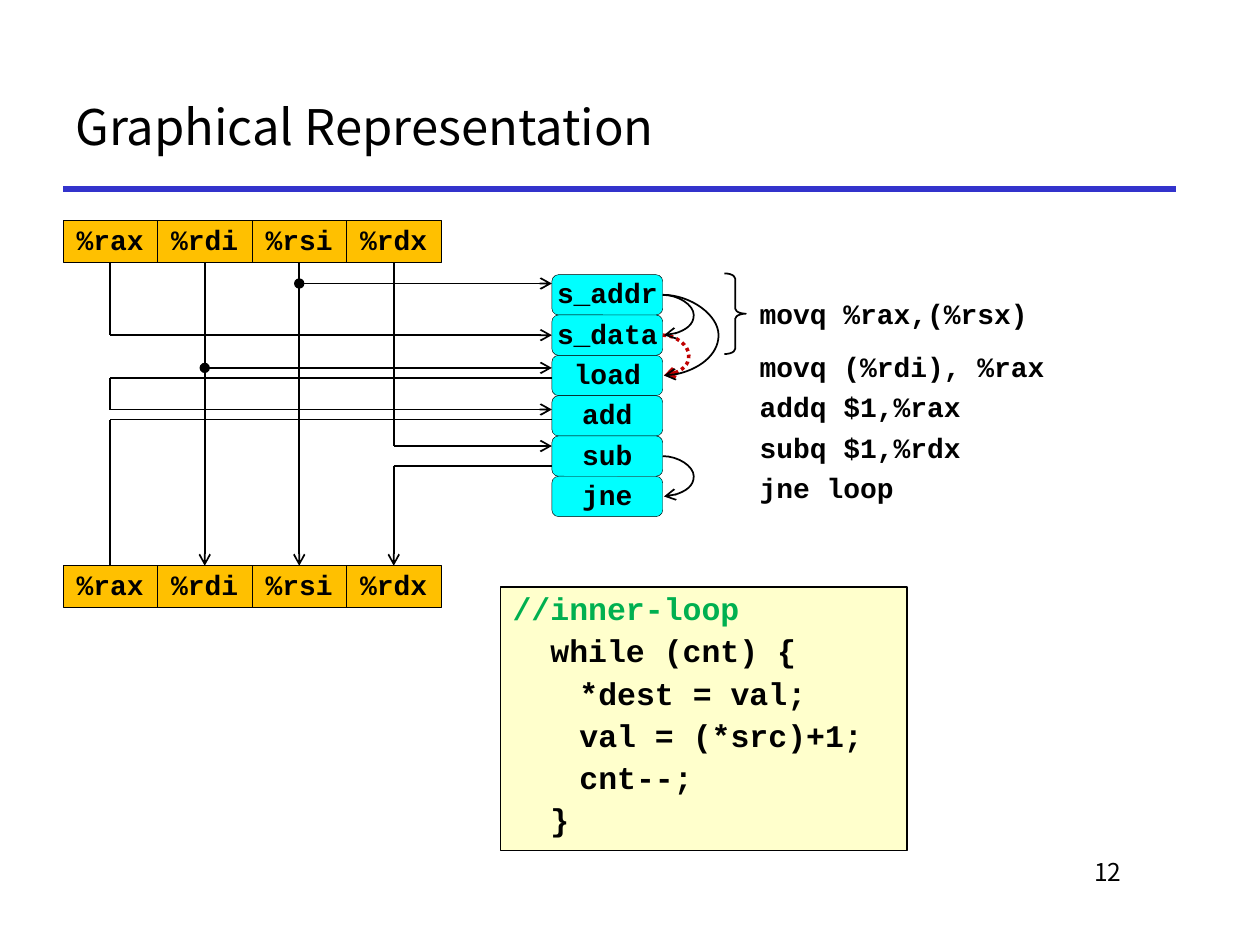
import lxml.etree
import pptx
import pptx.dml.color
import pptx.enum.dml
import pptx.enum.shapes
import pptx.enum.text
import pptx.oxml.ns
import pptx.util

Inches, Pt = pptx.util.Inches, pptx.util.Pt
Shape = pptx.enum.shapes.MSO_SHAPE
Link = pptx.enum.shapes.MSO_CONNECTOR
Align = pptx.enum.text.PP_ALIGN
Anchor = pptx.enum.text.MSO_ANCHOR
MONO, SANS = "Courier New", "Noto Sans CJK KR"
REGS = ["%rax", "%rdi", "%rsi", "%rdx"]
OPS = ["s_addr", "s_data", "load", "add", "sub", "jne"]
TOP, LEFT, BOTTOM = 0, 1, 2


def color(code):
    """Turn a hex string into a colour."""
    return pptx.dml.color.RGBColor.from_string(code)


def style(par, size, name=MONO, bold=True, code="000000"):
    """Format the runs of one paragraph."""
    for run in par.runs:
        run.font.size, run.font.name, run.font.bold = Pt(size), name, bold
        run.font.color.rgb = color(code)


def add(parent, tag, **attrs):
    """Append a drawing element with its attributes."""
    return lxml.etree.SubElement(parent, pptx.oxml.ns.qn(tag), attrs)


def box(slide, kind, left, top, width, height, fill, weight):
    """Draw an outlined preset shape, without fill if none is given."""
    shape = slide.shapes.add_shape(
        kind, Inches(left), Inches(top), Inches(width), Inches(height))
    shape.shadow.inherit = False
    if fill:
        shape.fill.solid()
        shape.fill.fore_color.rgb = color(fill)
    else:
        shape.fill.background()
    shape.line.color.rgb = color("000000")
    shape.line.width = Pt(weight)
    return shape


def cell(slide, kind, left, top, width, height, fill, text):
    """Draw a box with a centred label."""
    shape = box(slide, kind, left, top, width, height, fill, 0.25)
    frame = shape.text_frame
    frame.margin_left = frame.margin_right = 0
    frame.margin_top = frame.margin_bottom = 0
    frame.vertical_anchor = Anchor.MIDDLE
    frame.word_wrap = False
    frame.text = text
    par = frame.paragraphs[0]
    par.alignment, par.line_spacing = Align.CENTER, 0.9
    style(par, 16)
    return shape


def label(slide, left, top, width, height, text):
    """Place a text box and return it."""
    shape = slide.shapes.add_textbox(
        Inches(left), Inches(top), Inches(width), Inches(height))
    shape.text_frame.word_wrap = True
    shape.text_frame.text = text
    return shape


def wire(slide, start, end, tail=None, head=None, kind=Link.STRAIGHT,
         code="000000", weight=1, dash=None):
    """Draw a connector between two points with optional ends."""
    link = slide.shapes.add_connector(
        kind, *(Inches(value) for value in (*start, *end)))
    link.line.color.rgb = color(code)
    link.line.width = Pt(weight)
    if dash:
        link.line.dash_style = dash
    props = link._element.spPr
    line = props.find(pptx.oxml.ns.qn("a:ln"))
    for tag, tip in (("a:headEnd", head), ("a:tailEnd", tail)):
        if tip:
            add(line, tag, type=tip)
    add(props, "a:effectLst")
    return link


def curve(slide, start, end, reach, **look):
    """Draw a curved arrow that bulges to the right by the given reach."""
    link = wire(slide, start, end, "arrow", kind=Link.CURVE, **look)
    geom = link._element.spPr.find(pptx.oxml.ns.qn("a:prstGeom"))
    values = geom.find(pptx.oxml.ns.qn("a:avLst"))
    ratio = round(reach / (end[0] - start[0]) * 100000)
    add(values, "a:gd", name="adj1", fmla=f"val {ratio}")


def title(slide, left, top, width, height):
    """Set the heading and the rule under it."""
    head = slide.shapes.title
    head.left, head.top = Inches(left), Inches(top)
    head.width, head.height = Inches(width), Inches(height)
    head.text_frame.text = "Graphical Representation"
    head.text_frame.vertical_anchor = Anchor.MIDDLE
    par = head.text_frame.paragraphs[0]
    par.alignment = Align.LEFT
    style(par, 28, SANS, False)
    base = top + height
    wire(slide, (left, base), (left + width, base), code="3333CC", weight=3)


def bank(slide, left, top, width, height):
    """Draw a row of registers and return the boxes."""
    step = width / len(REGS)
    return [cell(slide, Shape.RECTANGLE, left + i * step, top, step, height,
                 "FFC000", name) for i, name in enumerate(REGS)]


def stack(slide, left, top, width, height):
    """Draw the column of operations with its curved dependencies."""
    step = height / len(OPS)
    ops = [cell(slide, Shape.ROUNDED_RECTANGLE, left, top + i * step, width,
                step, "00FFFF", name) for i, name in enumerate(OPS)]
    side = left + width
    dots = {"code": "C00000", "weight": 2,
            "dash": pptx.enum.dml.MSO_LINE.ROUND_DOT}
    for first, last, reach, look in [(4, 5, 0.25, {}), (1, 2, 0.21, dots),
                                     (0, 1, 0.25, {}), (0, 2, 0.45, {})]:
        curve(slide, (side, top + (first + 0.5) * step),
              (side + 0.01, top + (last + 0.5) * step), reach, **look)
    return ops


def flow(slide, left, top, width, height):
    """Draw both register banks, the operations and the wires between."""
    tall, span = 0.33, 3
    upper = bank(slide, left, top, span, tall)
    lower = bank(slide, left, top + height - tall, span, tall)
    edge = left + width - 0.88
    ops = stack(slide, edge, top + 0.43, 0.88, 1.92)
    rax, rdi, rsi, rdx = [left + (i + 0.5) * span / 4 for i in range(4)]
    data = top + 0.91
    into, out = top + tall, top + height - tall

    for x, low, end in [(rax, data, None), (rdi, out, 1), (rsi, out, 2),
                        (rdx, top + 1.79, None)]:
        link = wire(slide, (x, into), (x, low), "arrow" if end else None)
        link.begin_connect(upper[[rax, rdi, rsi, rdx].index(x)], BOTTOM)
        if end:
            link.end_connect(lower[end], TOP)
    for x, high, end, tip in [(rax, 1.58, 0, None), (rdx, 1.95, 3, "arrow")]:
        link = wire(slide, (x, top + high), (x, out), tip)
        link.end_connect(lower[end], TOP)
    wire(slide, (rax, top + 1.25), (rax, top + 1.5))
    wire(slide, (rax, data), (edge, data), "arrow").end_connect(ops[1], LEFT)
    for x, drop, tail, head in [
            (rsi, 0.5, "arrow", "oval"), (rdi, 1.17, "arrow", "oval"),
            (rax, 1.25, None, None), (rax, 1.5, "arrow", None),
            (rax, 1.58, None, None), (rdx, 1.79, "arrow", None),
            (rdx, 1.95, None, None)]:
        wire(slide, (x, top + drop), (edge, top + drop), tail, head)


def listing(slide, left, top, width):
    """Place the assembly lines and the brace for the first of them."""
    brace = box(slide, Shape.RIGHT_BRACE, left, top, 0.17, 0.64, None, 1)
    brace.adjustments[0] = 0.24
    lines = ["movq %rax,(%rsx)", "movq (%rdi), %rax", "addq $1,%rax",
             "subq $1,%rdx", "jne loop"]
    drops = [0.17] + [0.59 + 0.32 * i for i in range(4)]
    for text, drop in zip(lines, drops):
        note = label(slide, left + 0.18, top + drop, width - 0.18, 0.33, text)
        note.text_frame.vertical_anchor = Anchor.MIDDLE
        par = note.text_frame.paragraphs[0]
        par.line_spacing = 0.9
        style(par, 16)


def source(slide, left, top, width, height):
    """Draw the panel with the inner loop in C."""
    panel = box(slide, Shape.RECTANGLE, left, top, width, height,
                "FFFFCC", 0.75)
    frame = panel.text_frame
    frame.vertical_anchor = Anchor.TOP
    frame.text = "\n".join([
        "//inner-loop", "  while (cnt) {", "\t *dest = val;",
        "\t val = (*src)+1;", "\t cnt--;", "  }"])
    for i, par in enumerate(frame.paragraphs):
        par.alignment, par.line_spacing = Align.LEFT, 0.9
        par.space_before = Pt(4.7 if i else 0)
        props = par._p.get_or_add_pPr()
        props.set("marL", str(Inches(0.38)))
        props.set("indent", str(-Inches(0.38)))
        style(par, 18, code="000000" if i else "00B050")


def number(slide, left, top, width, height):
    """Place the page number."""
    par = label(slide, left, top, width, height, "12").text_frame.paragraphs[0]
    par.alignment = Align.RIGHT
    style(par, 14, SANS, False)


def main():
    """Build the slide and save it."""
    deck = pptx.Presentation()
    deck.slide_width, deck.slide_height = Inches(10), Inches(7.5)
    slide = deck.slides.add_slide(deck.slide_layouts[5])
    title(slide, 0.5, 0.5, 8.83, 1)
    flow(slide, 0.5, 1.75, 4.76, 3.07)
    listing(slide, 5.75, 2.17, 4)
    source(slide, 3.97, 4.66, 3.23, 2.09)
    number(slide, 7.58, 6.75, 1.42, 0.5)
    deck.save("out.pptx")


if __name__ == "__main__":
    main()
